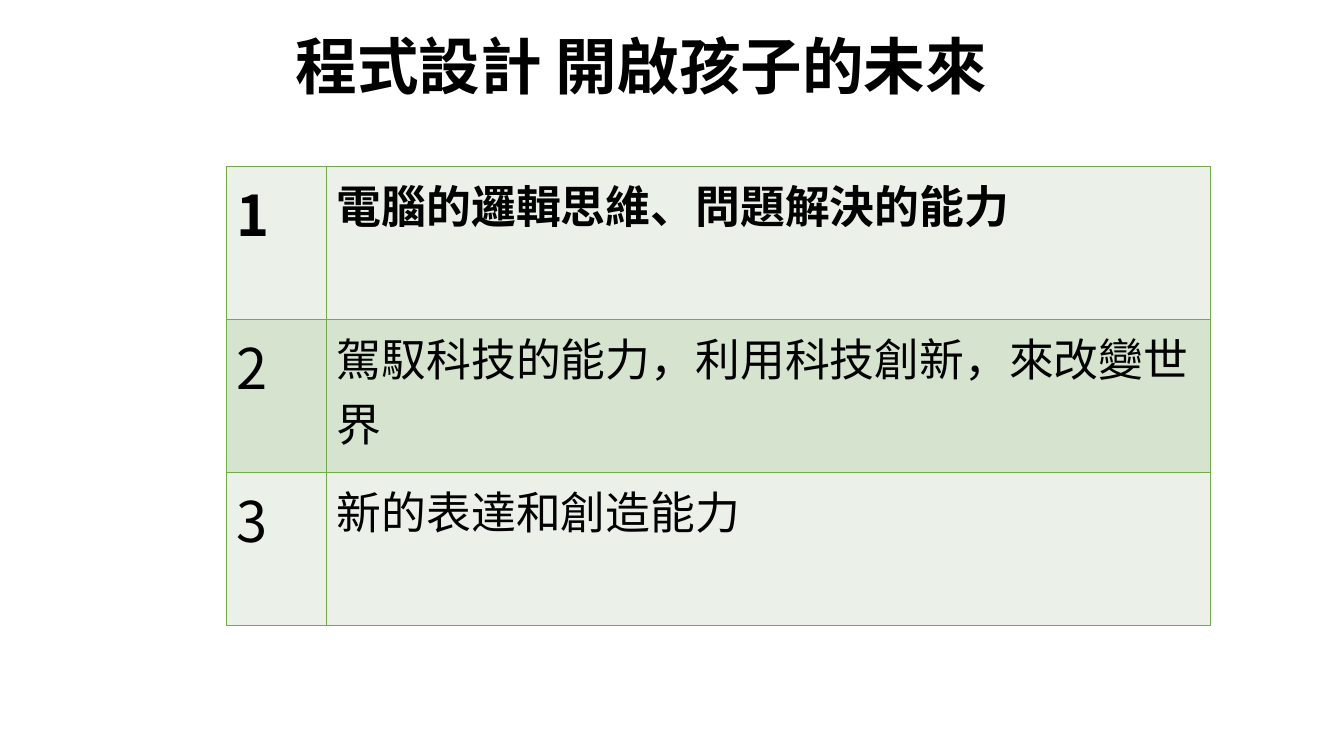
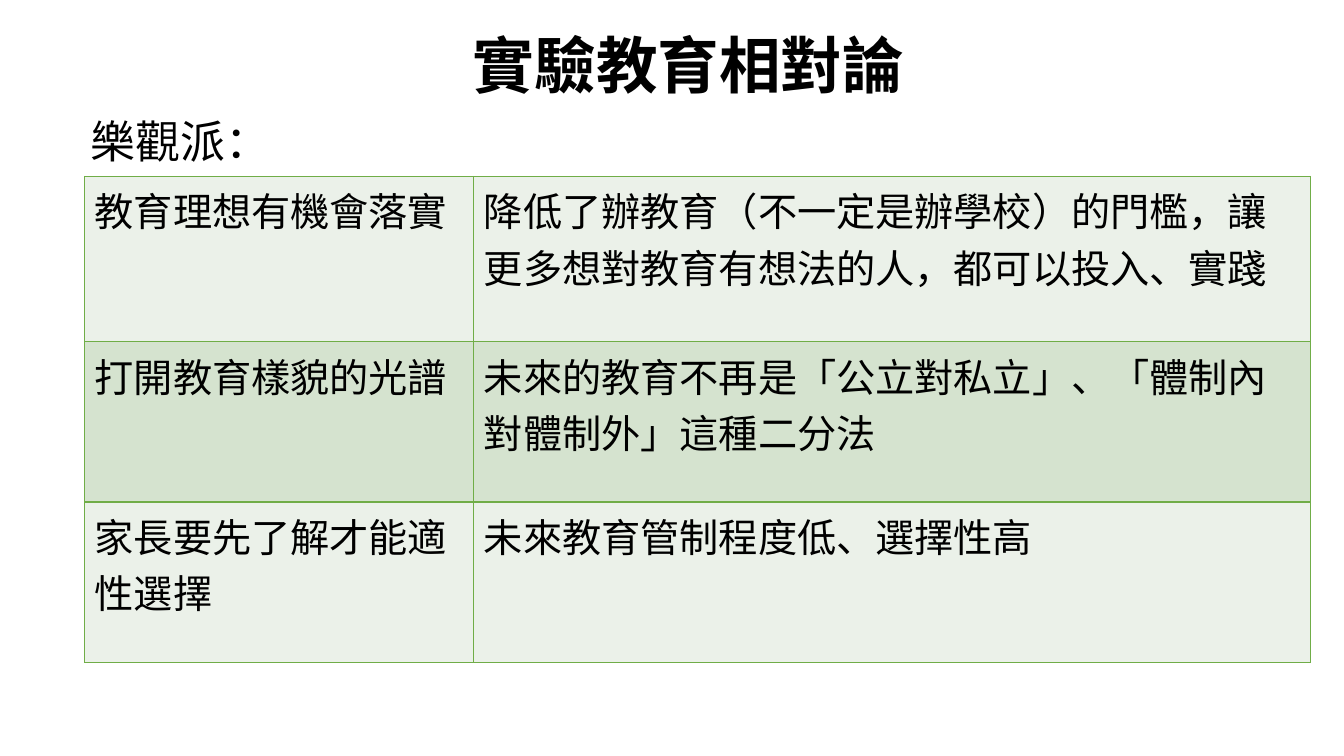
import pptx
import pptx.dml.color
import pptx.enum.text
import pptx.oxml.ns
import pptx.util
from lxml import etree

PX = 9144  # EMU per px, 100 px to the inch
FONT = "Noto Sans CJK SC"
BLACK = pptx.dml.color.RGBColor(0x00, 0x00, 0x00)
GREEN = pptx.dml.color.RGBColor(0x70, 0xAD, 0x47)
LIGHT_BAND = pptx.dml.color.RGBColor(0xEB, 0xF1, 0xE9)
DARK_BAND = pptx.dml.color.RGBColor(0xD5, 0xE3, 0xCF)
TITLE_ONLY, TITLE_AND_BODY = 5, 1

ABILITIES = [
    ("1", "電腦的邏輯思維、問題解決的能力"),
    ("2", "駕馭科技的能力，利用科技創新，來改變世界"),
    ("3", "新的表達和創造能力"),
]
OPTIMIST_VIEWS = [
    ("教育理想有機會落實",
     "降低了辦教育（不一定是辦學校）的門檻，讓更多想對教育有想法的人，都可以投入、實踐"),
    ("打開教育樣貌的光譜",
     "未來的教育不再是「公立對私立」、「體制內對體制外」這種二分法"),
    ("家長要先了解才能適性選擇", "未來教育管制程度低、選擇性高"),
]


def px(length):
    return pptx.util.Emu(length * PX)


def sub(parent, tag, **attributes):
    return etree.SubElement(parent, pptx.oxml.ns.qn(tag), attributes)


def add_run(paragraph, text, size, bold=False):
    paragraph.alignment = pptx.enum.text.PP_ALIGN.LEFT
    run = paragraph.add_run()
    run.text = text
    run.font.size = pptx.util.Pt(size)
    run.font.bold = bold
    run.font.color.rgb = BLACK
    run.font.name = FONT
    sub(run.font._element, "a:ea", typeface=FONT)


def fill_placeholder(placeholder, box, text, size, anchor, bold=False):
    placeholder.left, placeholder.top, placeholder.width, placeholder.height = map(px, box)
    frame = placeholder.text_frame
    frame.word_wrap = True
    frame.auto_size = pptx.enum.text.MSO_AUTO_SIZE.NONE
    frame.vertical_anchor = anchor
    paragraph = frame.paragraphs[0]
    paragraph.line_spacing = 0.9
    paragraph.space_before = pptx.util.Pt(0)
    add_run(paragraph, text, size, bold)
    return paragraph


def add_titled_slide(deck, layout, title, box):
    slide = deck.slides.add_slide(deck.slide_layouts[layout])
    fill_placeholder(slide.shapes.title, box, title, 44,
                     pptx.enum.text.MSO_ANCHOR.MIDDLE, bold=True)
    return slide


def add_lead(slide, text, box):
    """Fill the body placeholder with one line that has no bullet."""
    paragraph = fill_placeholder(slide.placeholders[1], box, text, 32,
                                 pptx.enum.text.MSO_ANCHOR.TOP)
    properties = paragraph._p.get_or_add_pPr()
    properties.set("marL", "0")
    properties.set("indent", "0")
    sub(properties, "a:buNone")


def add_borders(cell):
    properties = cell._tc.get_or_add_tcPr()
    for side in ("a:lnL", "a:lnR", "a:lnT", "a:lnB"):
        line = sub(properties, side, w=str(pptx.util.Pt(1)))
        sub(sub(line, "a:solidFill"), "a:srgbClr", val=str(GREEN))


def add_banded_table(slide, corner, widths, heights, rows, sizes, bold_first=False):
    """Add a table with bands in turn; sizes holds one text size a column."""
    left, top = corner
    table = slide.shapes.add_table(len(rows), len(widths), px(left), px(top),
                                   px(sum(widths)), px(sum(heights))).table
    table.first_row = False
    table.horz_banding = False
    for column, width in zip(table.columns, widths):
        column.width = px(width)
    for index, (row, height, texts) in enumerate(zip(table.rows, heights, rows)):
        row.height = px(height)
        for cell, text, size in zip(row.cells, texts, sizes):
            add_borders(cell)
            cell.fill.solid()
            cell.fill.fore_color.rgb = DARK_BAND if index % 2 else LIGHT_BAND
            add_run(cell.text_frame.paragraphs[0], text, size,
                    bold=bold_first and index == 0)


def main():
    deck = pptx.Presentation()
    deck.slide_width, deck.slide_height = px(1333), px(750)

    future = add_titled_slide(deck, TITLE_ONLY, "程式設計 開啟孩子的未來", (283, 32, 743, 73))
    add_banded_table(future, (225, 165), (99, 877), (152, 152, 152), ABILITIES,
                     sizes=(40, 32), bold_first=True)

    relativity = add_titled_slide(deck, TITLE_AND_BODY, "實驗教育相對論", (459, 7, 488, 122))
    add_lead(relativity, "樂觀派：", (80, 114, 182, 73))
    add_banded_table(relativity, (84, 175), (386, 830), (164, 159, 159), OPTIMIST_VIEWS,
                     sizes=(28, 28))

    deck.save("out.pptx")


if __name__ == "__main__":
    main()
